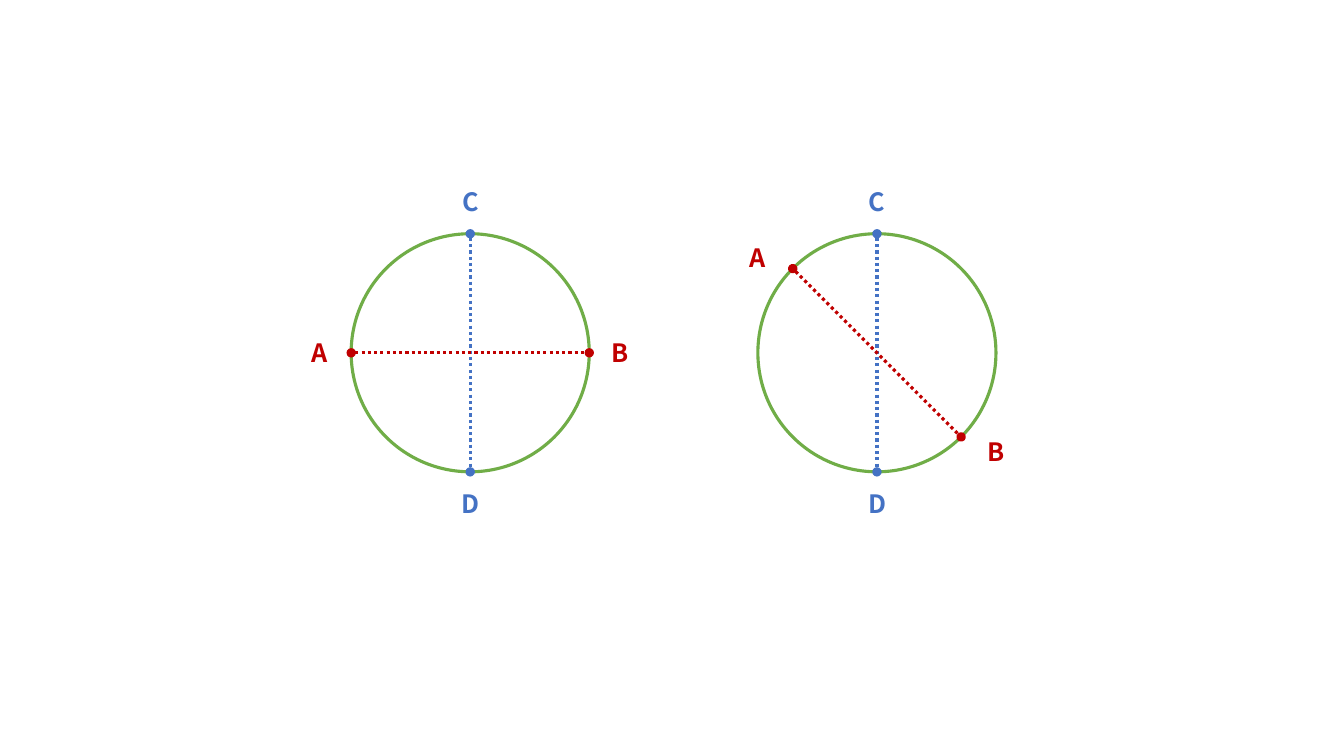
from dataclasses import dataclass
from math import cos, radians, sin

from lxml.etree import SubElement
from pptx import Presentation
from pptx.dml.color import RGBColor
from pptx.enum.dml import MSO_LINE
from pptx.enum.shapes import MSO_CONNECTOR, MSO_SHAPE
from pptx.enum.text import MSO_AUTO_SIZE
from pptx.oxml.ns import qn
from pptx.slide import Slide
from pptx.util import Cm, Pt

COLOURS = {"circle": "70AD47", "fill": "FFFFFF", "AB": "C00000", "CD": "4472C4"}
FONT = "Noto Sans CJK SC"
RADIUS = 3.0
CENTRE_Y = 8.89
LINE_WIDTH = Pt(2.25)
LABEL_HEIGHT = 1.02
LABEL_WIDTHS = {"A": 0.94, "B": 0.89, "C": 0.91, "D": 0.97}


@dataclass(frozen=True)
class Label:
    text: str
    offset_x: float
    offset_y: float


@dataclass(frozen=True)
class Diameter:
    name: str
    angle: float
    labels: tuple[Label, Label]


@dataclass(frozen=True)
class Figure:
    centre_x: float
    diameters: tuple[Diameter, ...]


VERTICAL = Diameter("CD", 90, (Label("C", 0, -3.81), Label("D", 0.02, 3.81)))
HORIZONTAL = Diameter("AB", 0, (Label("A", -3.79, 0), Label("B", 3.76, 0)))
DIAGONAL = Diameter("AB", 45, (Label("A", -2.98, -2.41), Label("B", 2.98, 2.49)))
FIGURES = (
    Figure(11.85, (VERTICAL, HORIZONTAL)),
    Figure(22.1, (VERTICAL, DIAGONAL)),
)


def colour(name: str) -> RGBColor:
    return RGBColor.from_string(COLOURS[name])


def draw_circle(slide: Slide, centre_x: float) -> None:
    circle = slide.shapes.add_shape(
        MSO_SHAPE.OVAL,
        Cm(centre_x - RADIUS),
        Cm(CENTRE_Y - RADIUS),
        Cm(2 * RADIUS),
        Cm(2 * RADIUS),
    )
    circle.shadow.inherit = False
    circle.fill.solid()
    circle.fill.fore_color.rgb = colour("fill")
    circle.line.color.rgb = colour("circle")
    circle.line.width = LINE_WIDTH


def draw_diameter(slide: Slide, centre_x: float, diameter: Diameter) -> None:
    reach_x = RADIUS * cos(radians(diameter.angle))
    reach_y = RADIUS * sin(radians(diameter.angle))
    connector = slide.shapes.add_connector(
        MSO_CONNECTOR.STRAIGHT,
        Cm(centre_x - reach_x),
        Cm(CENTRE_Y - reach_y),
        Cm(centre_x + reach_x),
        Cm(CENTRE_Y + reach_y),
    )
    connector.line.color.rgb = colour(diameter.name)
    connector.line.width = LINE_WIDTH
    connector.line.dash_style = MSO_LINE.ROUND_DOT
    properties = connector.element.spPr
    line = properties.find(qn("a:ln"))
    for end in ("a:headEnd", "a:tailEnd"):
        SubElement(line, qn(end), type="oval")
    SubElement(properties, qn("a:effectLst"))


def draw_label(slide: Slide, centre_x: float, label: Label, colour_name: str) -> None:
    width = LABEL_WIDTHS[label.text]
    text_box = slide.shapes.add_textbox(
        Cm(centre_x + label.offset_x - width / 2),
        Cm(CENTRE_Y + label.offset_y - LABEL_HEIGHT / 2),
        Cm(width),
        Cm(LABEL_HEIGHT),
    )
    text_frame = text_box.text_frame
    text_frame.word_wrap = False
    text_frame.auto_size = MSO_AUTO_SIZE.SHAPE_TO_FIT_TEXT
    paragraph = text_frame.paragraphs[0]
    paragraph.text = label.text
    paragraph.font.name = FONT
    paragraph.font.size = Pt(18)
    paragraph.font.bold = True
    paragraph.font.color.rgb = colour(colour_name)


def draw_figure(slide: Slide, figure: Figure) -> None:
    draw_circle(slide, figure.centre_x)
    for diameter in figure.diameters:
        draw_diameter(slide, figure.centre_x, diameter)
    for diameter in reversed(figure.diameters):
        for label in diameter.labels:
            draw_label(slide, figure.centre_x, label, diameter.name)


def main() -> None:
    presentation = Presentation()
    presentation.slide_width = Cm(33.87)
    presentation.slide_height = Cm(19.05)
    slide = presentation.slides.add_slide(presentation.slide_layouts[6])
    for figure in FIGURES:
        draw_figure(slide, figure)
    presentation.save("out.pptx")


if __name__ == "__main__":
    main()
